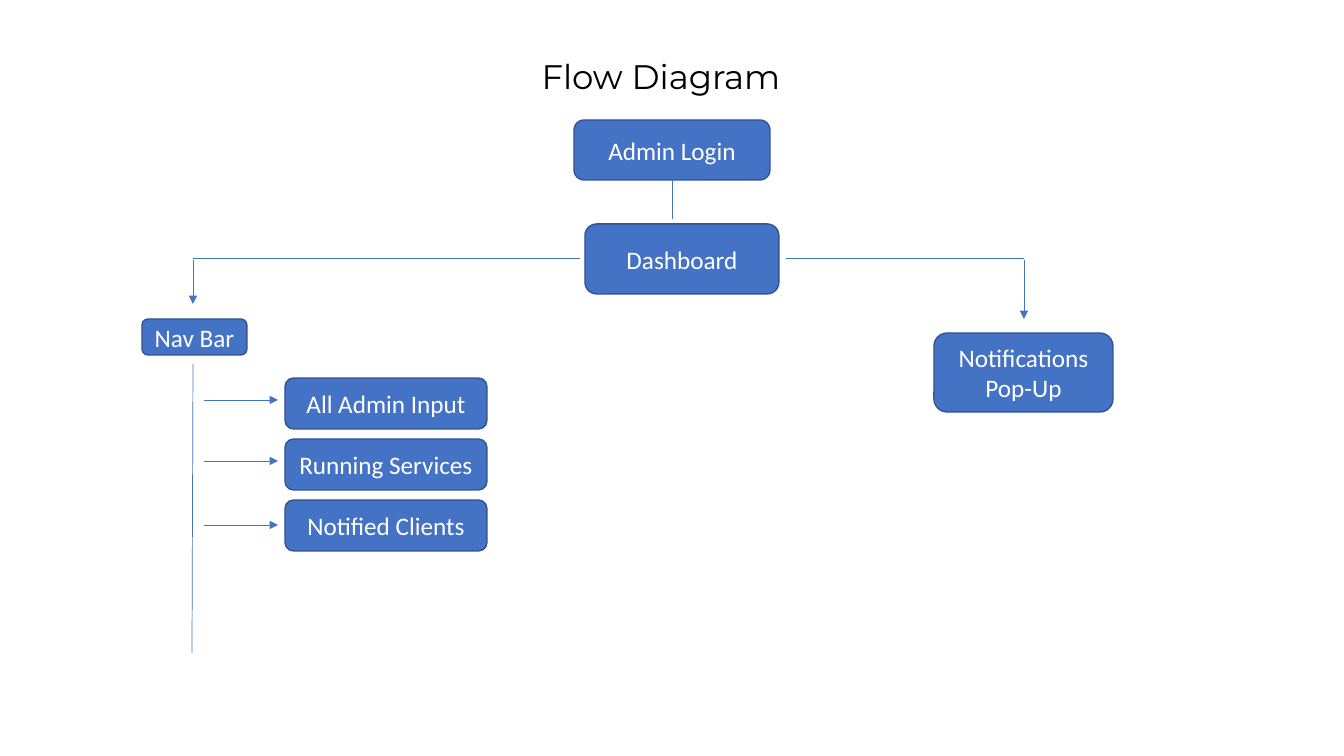
from pptx import Presentation
from pptx.dml.color import RGBColor
from pptx.enum.shapes import MSO_CONNECTOR, MSO_SHAPE
from pptx.enum.text import MSO_ANCHOR, PP_ALIGN
from pptx.oxml.ns import qn
from pptx.util import Pt
from lxml import etree

PX = 914400 / 100.8
ROUND = MSO_SHAPE.ROUNDED_RECTANGLE
STRAIGHT = MSO_CONNECTOR.STRAIGHT
CENTER = PP_ALIGN.CENTER
MIDDLE = MSO_ANCHOR.MIDDLE

BLUE = RGBColor(0x44, 0x72, 0xC4)
EDGE = RGBColor(0x32, 0x54, 0x91)
WHITE = RGBColor(0xFF, 0xFF, 0xFF)
BLACK = RGBColor(0, 0, 0)

LABEL = {"name": "Calibri", "size": Pt(18)}
TITLE = {"name": "Montserrat", "size": Pt(24.3)}


def emu(*sizes):
    return [round(size * PX) for size in sizes]


class Chart:
    """Holds the style and the current slide."""

    def __init__(self, slide):
        self.shapes = slide.shapes

    def label(self, shape, text, style, color):
        frame = shape.text_frame
        frame.word_wrap = True
        frame.vertical_anchor = MIDDLE
        frame.text = text
        for para in frame.paragraphs:
            para.alignment = CENTER
            for run in para.runs:
                for key, value in style.items():
                    setattr(run.font, key, value)
                run.font.color.rgb = color

    def title(self, text, *place):
        self.label(self.shapes.add_textbox(*emu(*place)), text, TITLE, BLACK)

    def box(self, text, *place):
        shape = self.shapes.add_shape(ROUND, *emu(*place))
        shape.shadow.inherit = False
        shape.fill.solid()
        shape.fill.fore_color.rgb = BLUE
        shape.line.color.rgb = EDGE
        shape.line.width = Pt(1)
        self.label(shape, text, LABEL, WHITE)

    def line(self, *ends, arrow=False):
        link = self.shapes.add_connector(STRAIGHT, *emu(*ends))
        link.line.color.rgb = BLUE
        link.line.width = Pt(0.5)
        props = link._element.spPr
        if arrow:
            tail = etree.SubElement(props.find(qn("a:ln")), qn("a:tailEnd"))
            tail.set("type", "triangle")
        etree.SubElement(props, qn("a:effectLst"))


def main():
    deck = Presentation()
    deck.slide_width, deck.slide_height = emu(1344, 756)
    chart = Chart(deck.slides.add_slide(deck.slide_layouts[6]))

    # Title and main path
    chart.title("Flow Diagram", 511, 45, 300, 61)
    chart.box("Admin Login", 574, 120, 196, 60)
    chart.line(672, 180, 672, 219)
    chart.box("Dashboard", 585, 224, 194, 70)

    # Branches from the dashboard
    for start, turn, end in ((580, 193, 304), (786, 1024, 319)):
        chart.line(turn, 258, start, 258)
        chart.line(turn, 260, turn, end, arrow=True)
    chart.box("Nav Bar", 142, 319, 105, 36)
    chart.box("Notifications\nPop-Up", 934, 333, 179, 79)

    # Entries of the nav bar
    chart.line(193, 364, 192, 653)
    entries = (("All Admin Input", 400), ("Running Services", 461),
               ("Notified Clients", 525))
    for row, (name, level) in enumerate(entries):
        chart.box(name, 285, 378 + 61 * row, 202, 51)
        chart.line(204, level, 278, level, arrow=True)

    deck.save("out.pptx")


if __name__ == "__main__":
    main()
